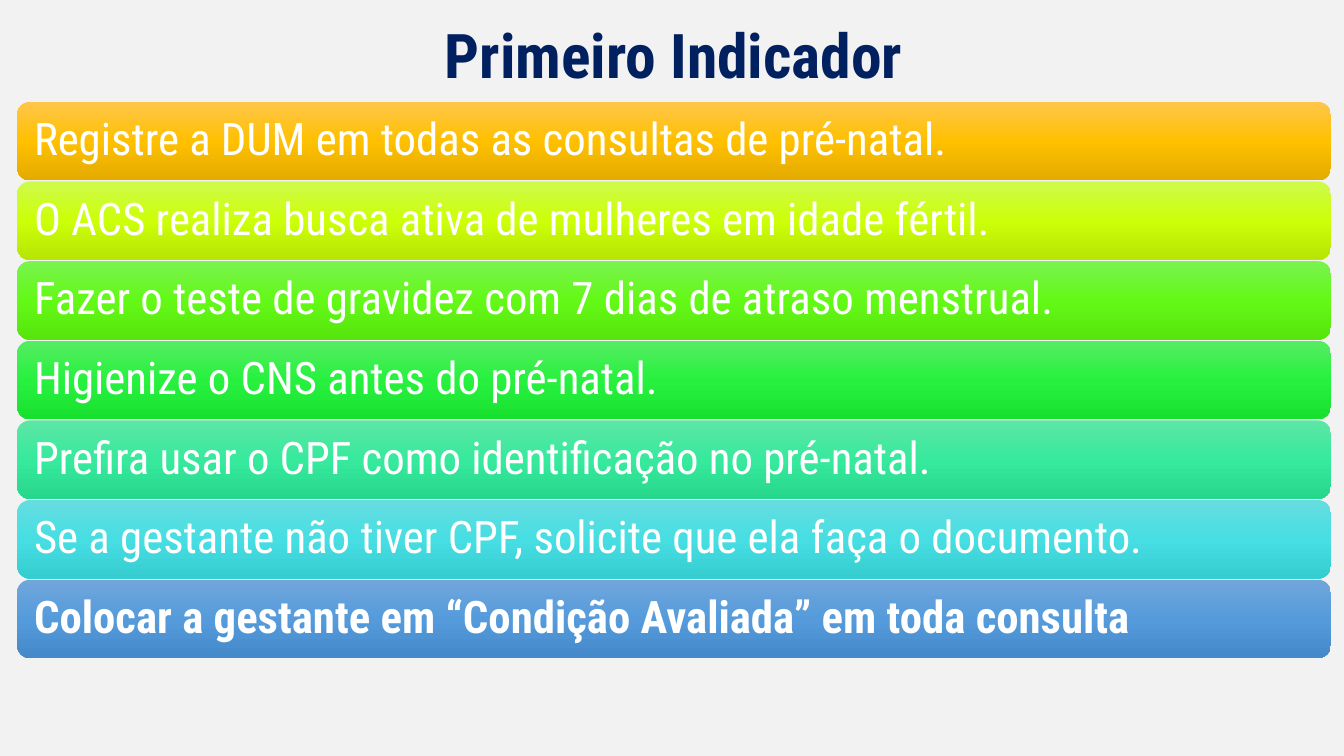
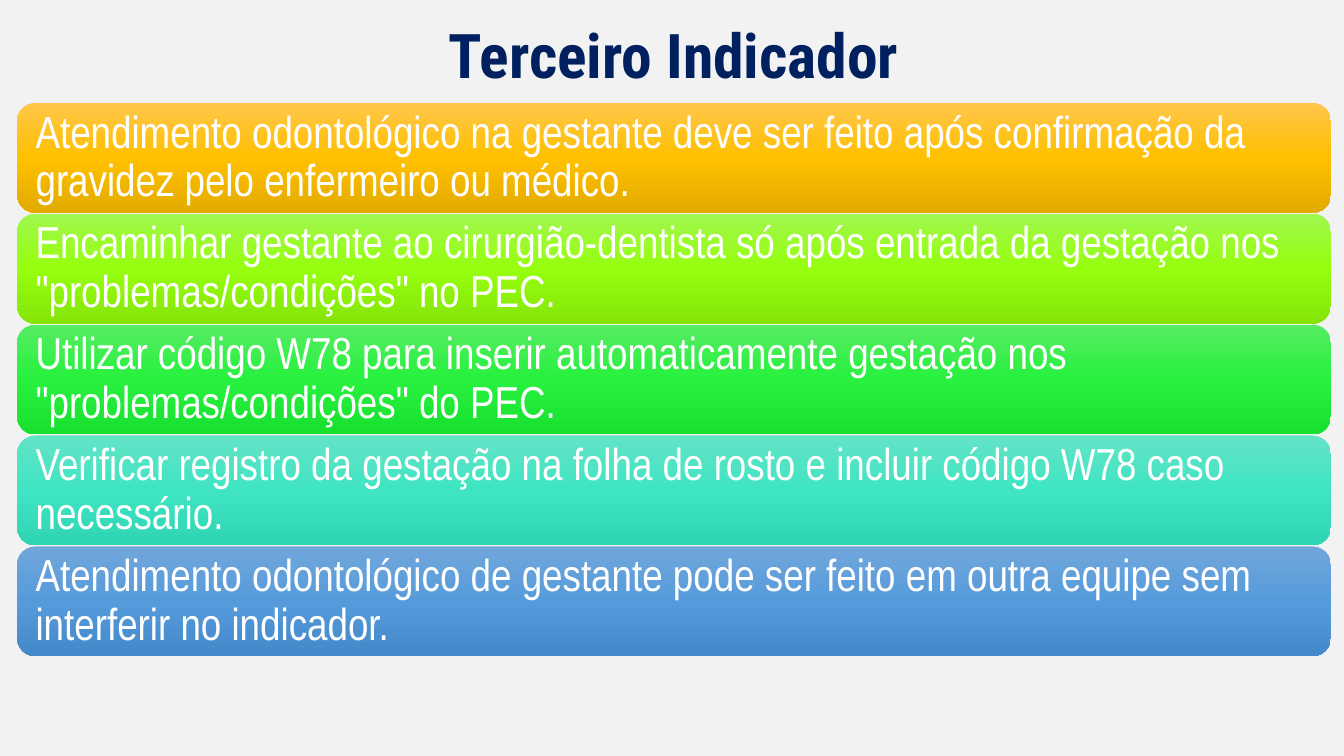
from copy import deepcopy

from pptx import Presentation
from pptx import util as u
from pptx.dml.color import RGBColor
from pptx.enum import shapes, text

PX = 9144  # 100 px to the inch
SLIDE_W, SLIDE_H = 1333, 750
LEFT, WIDTH = 17, 1303
GAP = 1
INSET = 13

TITLE_FONT = "Roboto Condensed"
NARROW_FONT = "Arial Narrow"

BACKGROUND = RGBColor(0xF2, 0xF2, 0xF2)
NAVY = RGBColor(0x00, 0x20, 0x60)
WHITE = RGBColor(0xFF, 0xFF, 0xFF)


def shades(*codes):
    return [RGBColor.from_string(code) for code in codes]


# Bar gradients, top to bottom
AMBER = shades("FFC64B", "FFC000", "E3AB00")
YELLOW = shades("CEFA4C", "CCFF08", "B7E505")
LIME = shades("A0F74E", "96FE0E", "85E509")
LEAF = shades("7AF350", "63F916", "56E50C")
GREEN = shades("56EC62", "27F13E", "18E02F")
MINT = shades("5EE6A6", "37E99C", "27D88C")
TURQUOISE = shades("63E3C6", "3FE5C3", "2FD4B2")
CYAN = shades("67DDE0", "46DEE2", "36CDD1")
BLUE = shades("71A6DB", "559BDB", "448ACA")

# Each bar: gradient, wording, bold
FIRST_INDICATOR = [
    (AMBER, "Registre a DUM em todas as consultas de pré-natal.", False),
    (YELLOW, "O ACS realiza busca ativa de mulheres em idade fértil.", False),
    (LEAF, "Fazer o teste de gravidez com 7 dias de atraso menstrual.", False),
    (GREEN, "Higienize o CNS antes do pré-natal.", False),
    (MINT, "Prefira usar o CPF como identificação no pré-natal.", False),
    (CYAN, "Se a gestante não tiver CPF, solicite que ela faça o documento.", False),
    (BLUE, "Colocar a gestante em “Condição Avaliada” em toda consulta", True),
]
THIRD_INDICATOR = [
    (AMBER, "Atendimento odontológico na gestante deve ser feito após "
            "confirmação da gravidez pelo enfermeiro ou médico.", False),
    (LIME, "Encaminhar gestante ao cirurgião-dentista só após entrada da "
           "gestação nos \"problemas/condições\" no PEC.", False),
    (GREEN, "Utilizar código W78 para inserir automaticamente gestação nos "
            "\"problemas/condições\" do PEC.", False),
    (TURQUOISE, "Verificar registro da gestação na folha de rosto e incluir "
                "código W78 caso necessário.", False),
    (BLUE, "Atendimento odontológico de gestante pode ser feito em outra "
           "equipe sem interferir no indicador.", False),
]


def box(left, top, width, height):
    return [u.Emu(v * PX) for v in (left, top, width, height)]


def write(sp, wording, font, size, color, bold, align):
    tf = sp.text_frame
    tf.word_wrap = True
    tf.vertical_anchor = text.MSO_ANCHOR.MIDDLE
    p = tf.paragraphs[0]
    p.alignment = align
    p.line_spacing = 0.9
    r = p.add_run()
    r.text = wording
    r.font.name = font
    r.font.size = u.Pt(size)
    r.font.bold = bold
    r.font.color.rgb = color


def fill_gradient(sp, colors):
    sp.fill.gradient()
    sp.fill.gradient_angle = 270
    # The default gradient has two stops; add a middle one
    stop_list = sp._element.spPr.xpath(".//a:gsLst")[0]
    stop_list.append(deepcopy(stop_list[0]))
    for i, (stop, color) in enumerate(zip(sp.fill.gradient_stops, colors)):
        stop.position = i / 2
        stop.color.rgb = color


def add_title(s, wording):
    sp = s.shapes.add_textbox(*box(LEFT, 15, WIDTH, 86))
    write(sp, wording, TITLE_FONT, 44, NAVY, True, text.PP_ALIGN.CENTER)


def add_bar(s, top, height, colors, wording, font, bold):
    sp = s.shapes.add_shape(shapes.MSO_SHAPE.ROUNDED_RECTANGLE,
                            *box(LEFT, top, WIDTH, height))
    sp.shadow.inherit = False
    sp.line.fill.background()
    fill_gradient(sp, colors)
    tf = sp.text_frame
    tf.margin_left = tf.margin_right = u.Emu(INSET * PX)
    tf.margin_top = tf.margin_bottom = u.Emu(INSET * PX)
    write(sp, wording, font, 32, WHITE, bold, text.PP_ALIGN.LEFT)


def add_indicator_slide(prs, title, bars, font, top, height):
    s = prs.slides.add_slide(prs.slide_layouts[6])
    s.background.fill.solid()
    s.background.fill.fore_color.rgb = BACKGROUND
    add_title(s, title)
    for i, (colors, wording, bold) in enumerate(bars):
        add_bar(s, top + i * (height + GAP), height, colors, wording, font, bold)


def main():
    prs = Presentation()
    prs.slide_width = u.Emu(SLIDE_W * PX)
    prs.slide_height = u.Emu(SLIDE_H * PX)
    add_indicator_slide(prs, "Primeiro Indicador", FIRST_INDICATOR,
                        TITLE_FONT, top=101, height=78)
    add_indicator_slide(prs, "Terceiro Indicador", THIRD_INDICATOR,
                        NARROW_FONT, top=102, height=109)
    prs.save("out.pptx")


if __name__ == "__main__":
    main()
